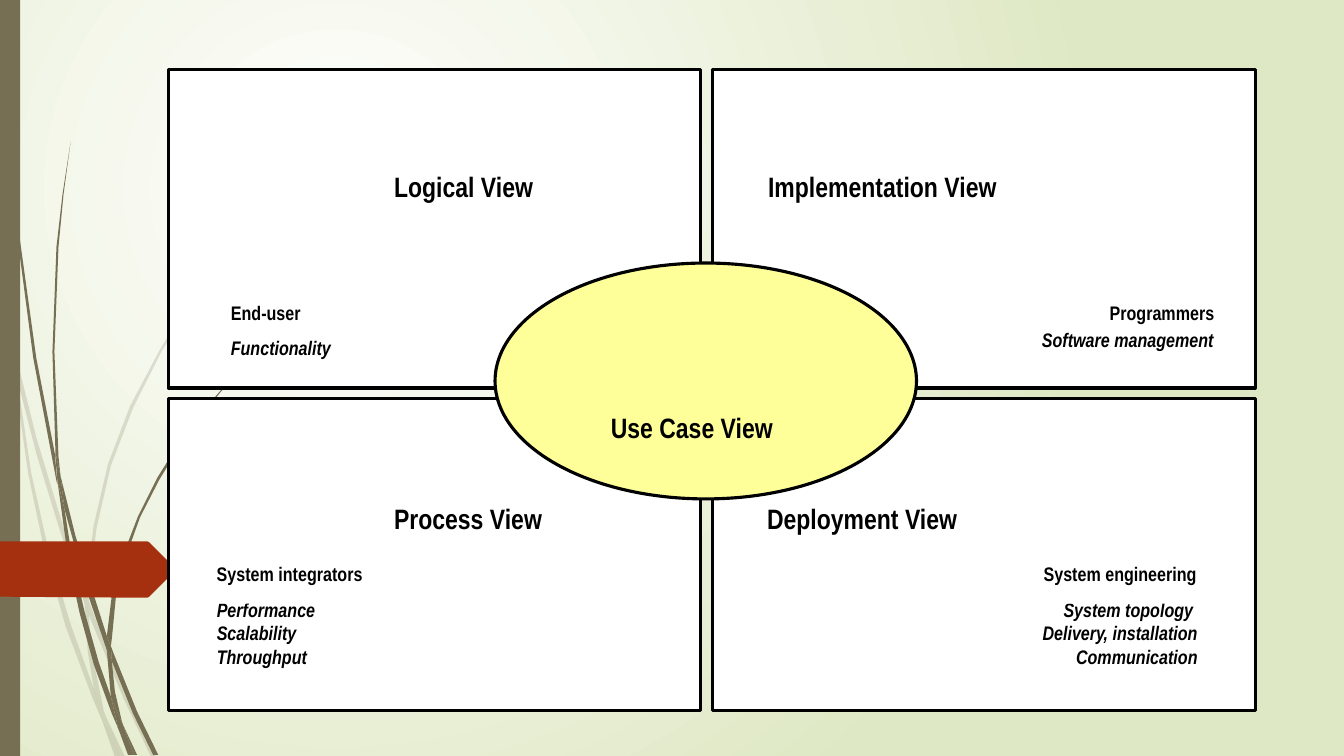
import pptx
import pptx.util
import pptx.dml.color
import pptx.enum.shapes
import pptx.enum.text
import pptx.oxml.ns
import lxml.etree

PX = 9144  # one hundred px to the inch
RGB = pptx.dml.color.RGBColor
SHAPES = pptx.enum.shapes.MSO_SHAPE
ALIGN = pptx.enum.text.PP_ALIGN

WHITE = RGB(0xFF, 0xFF, 0xFF)
BLACK = RGB(0x00, 0x00, 0x00)
PALE_GREEN = RGB(0xDF, 0xE8, 0xC4)
OLIVE = RGB(0x76, 0x6F, 0x54)
RUST = RGB(0xA5, 0x30, 0x10)
YELLOW = RGB(0xFF, 0xFF, 0x99)

HEADING = {"size": pptx.util.Pt(20), "bold": True, "italic": False}
ROLE = {"size": pptx.util.Pt(14), "bold": True, "italic": False}
CONCERN = {"size": pptx.util.Pt(14), "bold": True, "italic": True}
SPACER = {"size": pptx.util.Pt(16), "bold": True, "italic": False}

# Grass blades: the corners of each outline, in px
FAINT_GRASS = [
    [(11, 350), (9, 322), (0, 282), (0, 299), (10, 344)],
    [(58, 522), (84, 599), (85, 586), (62, 520), (36, 434), (14, 345), (17, 376), (36, 450)],
    [(92, 607), (88, 596), (88, 610), (123, 694), (150, 751), (155, 751), (127, 692)],
    [(119, 751), (124, 751), (105, 711)],
    [(93, 683), (70, 619), (48, 545), (31, 469), (17, 376), (11, 350), (28, 470), (44, 546),
     (65, 621), (92, 693), (101, 714), (99, 707)],
    [(84, 599), (87, 646), (93, 683), (96, 692), (105, 711), (103, 706), (91, 646), (88, 610),
     (88, 608)],
    [(88, 584), (96, 523), (110, 462), (132, 405), (160, 349), (193, 296), (229, 245),
     (268, 198), (290, 175), (312, 154), (312, 153), (289, 175), (268, 197), (228, 244),
     (191, 294), (158, 348), (129, 403), (107, 461), (93, 521), (85, 584), (85, 586), (88, 596)],
    [(101, 714), (114, 751), (119, 751)],
    [(88, 608), (88, 610), (88, 596), (85, 586), (84, 599)],
    [(96, 692), (93, 683), (99, 707), (101, 714), (119, 751), (105, 711)],
]
DARK_GRASS = [
    [(7, 110), (17, 233), (33, 355), (56, 477), (57, 481), (55, 457), (55, 453), (36, 355),
     (19, 232), (8, 109), (5, 48), (4, 0), (3, 0), (4, 48)],
    [(88, 592), (106, 645), (106, 633), (106, 631), (93, 590), (75, 532), (60, 472), (64, 505)],
    [(113, 649), (110, 641), (111, 656), (132, 708), (152, 749), (157, 749), (136, 706)],
    [(110, 691), (98, 657), (84, 607), (72, 556), (64, 505), (57, 477), (68, 557), (79, 608),
     (93, 659), (111, 708), (117, 722), (116, 717)],
    [(60, 472), (58, 453), (54, 349), (58, 245), (63, 193), (70, 141), (62, 193), (56, 245),
     (52, 349), (55, 449)],
    [(133, 749), (136, 749), (122, 719)],
    [(57, 477), (64, 505), (60, 472), (55, 449), (55, 453)],
    [(111, 633), (115, 592), (125, 552), (139, 513), (158, 476), (180, 440), (205, 406),
     (231, 374), (245, 359), (261, 344), (260, 344), (245, 358), (231, 373), (204, 405),
     (178, 439), (156, 474), (137, 512), (122, 551), (111, 590), (106, 631), (110, 641)],
    [(117, 722), (127, 749), (131, 749)],
    [(106, 645), (110, 691), (116, 706), (122, 719), (121, 716), (114, 686), (111, 656),
     (109, 651)],
    [(106, 645), (109, 651), (111, 656), (110, 641), (106, 631)],
    [(116, 706), (110, 691), (116, 717), (117, 722), (130, 749), (133, 749), (122, 719)],
]
ARROW_TAB = [(173, 567), (148, 592), (146, 593), (136, 593), (0, 592), (0, 537), (136, 537),
             (146, 537), (148, 538), (173, 563), (174, 565)]

# Columns and rows of the four view panels: start and length
COLUMNS = [(167, 528), (707, 538)]
ROWS = [(69, 316), (395, 310)]

# Labels: box, wraps, alignment, paragraphs of (text, format) runs
LOGICAL = [
    ((381, 163, 238, 61), True, ALIGN.LEFT, [[("Logical View", HEADING)]]),
    ((218, 293, 129, 48), False, ALIGN.LEFT, [[("End-user", ROLE)]]),
    ((218, 327, 164, 48), False, ALIGN.LEFT, [[("Functionality", CONCERN)]]),
]
IMPLEMENTATION = [
    ((752, 163, 373, 61), True, ALIGN.LEFT, [[("Implementation View", HEADING)]]),
    ((953, 293, 267, 86), False, ALIGN.RIGHT,
     [[("Programmers ", ROLE)], [("Software management", CONCERN), (" ", SPACER)]]),
]
PROCESS = [
    ((381, 493, 252, 61), True, ALIGN.LEFT, [[("Process View", HEADING)]]),
    ((204, 587, 162, 114), False, ALIGN.LEFT,
     [[("Performance", CONCERN)], [("Scalability", CONCERN)], [("Throughput", CONCERN)]]),
    ((204, 551, 226, 48), False, ALIGN.LEFT, [[("System integrators", ROLE)]]),
]
DEPLOYMENT = [
    ((751, 493, 343, 61), True, ALIGN.LEFT, [[("Deployment View", HEADING)]]),
    ((820, 587, 379, 114), True, ALIGN.RIGHT,
     [[("System topology ", CONCERN)], [("Delivery, installation", CONCERN)],
      [("Communication", CONCERN)]]),
    ((963, 551, 235, 48), False, ALIGN.RIGHT, [[("System engineering", ROLE)]]),
]
VIEWS = [[LOGICAL, IMPLEMENTATION], [PROCESS, DEPLOYMENT]]
USE_CASE = ((596, 402, 268, 61), True, ALIGN.LEFT, [[("Use Case View", HEADING)]])


def emu(box):
    return [length * PX for length in box]


def paint(shape, fill, outlined=False):
    shape.shadow.inherit = False
    shape.fill.solid()
    shape.fill.fore_color.rgb = fill
    if outlined:
        shape.line.color.rgb = BLACK
        shape.line.width = pptx.util.Pt(2.25)
    else:
        shape.line.fill.background()


def add_panel(shapes, kind, box, fill, outlined=True):
    panel = shapes.add_shape(kind, *emu(box))
    paint(panel, fill, outlined)
    return panel


def add_outline(shapes, points, fill, opacity=100):
    builder = shapes.build_freeform(*points[0], scale=PX)
    builder.add_line_segments(points[1:], close=True)
    outline = builder.convert_to_shape()
    paint(outline, fill)
    if opacity < 100:
        colour = outline.fill._xPr.find(".//" + pptx.oxml.ns.qn("a:srgbClr"))
        lxml.etree.SubElement(colour, pptx.oxml.ns.qn("a:alpha"), val=str(opacity * 1000))


def write(frame, wraps, align, paragraphs):
    is_heading = paragraphs[0][0][1] is HEADING
    side, edge = (10, 5) if is_heading else (11, 6)
    layout = {"word_wrap": wraps, "auto_size": pptx.enum.text.MSO_AUTO_SIZE.SHAPE_TO_FIT_TEXT,
              "vertical_anchor": pptx.enum.text.MSO_ANCHOR.TOP,
              "margin_left": side * PX, "margin_right": side * PX,
              "margin_top": edge * PX, "margin_bottom": edge * PX}
    for key, value in layout.items():
        setattr(frame, key, value)
    for index, runs in enumerate(paragraphs):
        paragraph = frame.add_paragraph() if index else frame.paragraphs[0]
        paragraph.alignment = align
        for text, style in runs:
            run = paragraph.add_run()
            run.text = text
            run.font.color.rgb = BLACK
            for key, value in {"name": "Arial Narrow", **style}.items():
                setattr(run.font, key, value)


def add_label(shapes, box, *content):
    label = add_panel(shapes, SHAPES.RECTANGLE, box, WHITE, outlined=False)
    write(label.text_frame, *content)


def paint_background(slide):
    fill = slide.background.fill
    fill.gradient()
    for stop, colour in zip(fill.gradient_stops, (WHITE, PALE_GREEN)):
        stop.color.rgb = colour
    linear = slide.background._cSld.find(".//" + pptx.oxml.ns.qn("a:lin"))
    gradient = linear.getparent()
    gradient.remove(linear)
    circle = lxml.etree.SubElement(gradient, pptx.oxml.ns.qn("a:path"), {"path": "circle"})
    lxml.etree.SubElement(circle, pptx.oxml.ns.qn("a:fillToRect"),
                          l="50000", t="50000", r="100000", b="100000")


def main():
    deck = pptx.Presentation()
    deck.slide_width, deck.slide_height = emu((1333, 750))
    slide = deck.slides.add_slide(deck.slide_layouts[6])
    paint_background(slide)

    # Grass, side bar and arrow tab
    for blades, opacity in ((FAINT_GRASS, 20), (DARK_GRASS, 100)):
        tuft = slide.shapes.add_group_shape().shapes
        for blade in blades:
            add_outline(tuft, blade, OLIVE, opacity)
    add_panel(slide.shapes, SHAPES.RECTANGLE, (0, 0, 20, 750), OLIVE, outlined=False)
    add_outline(slide.shapes, ARROW_TAB, RUST)

    # Four views around the use cases
    diagram = slide.shapes.add_group_shape().shapes
    for (top, height), row in zip(ROWS, VIEWS):
        for (left, width), labels in zip(COLUMNS, row):
            add_panel(diagram, SHAPES.RECTANGLE, (left, top, width, height), WHITE)
            for label in labels:
                add_label(diagram, *label)
    add_panel(diagram, SHAPES.OVAL, (491, 261, 418, 234), YELLOW)
    box, *content = USE_CASE
    write(diagram.add_textbox(*emu(box)).text_frame, *content)

    deck.save("out.pptx")


if __name__ == "__main__":
    main()
